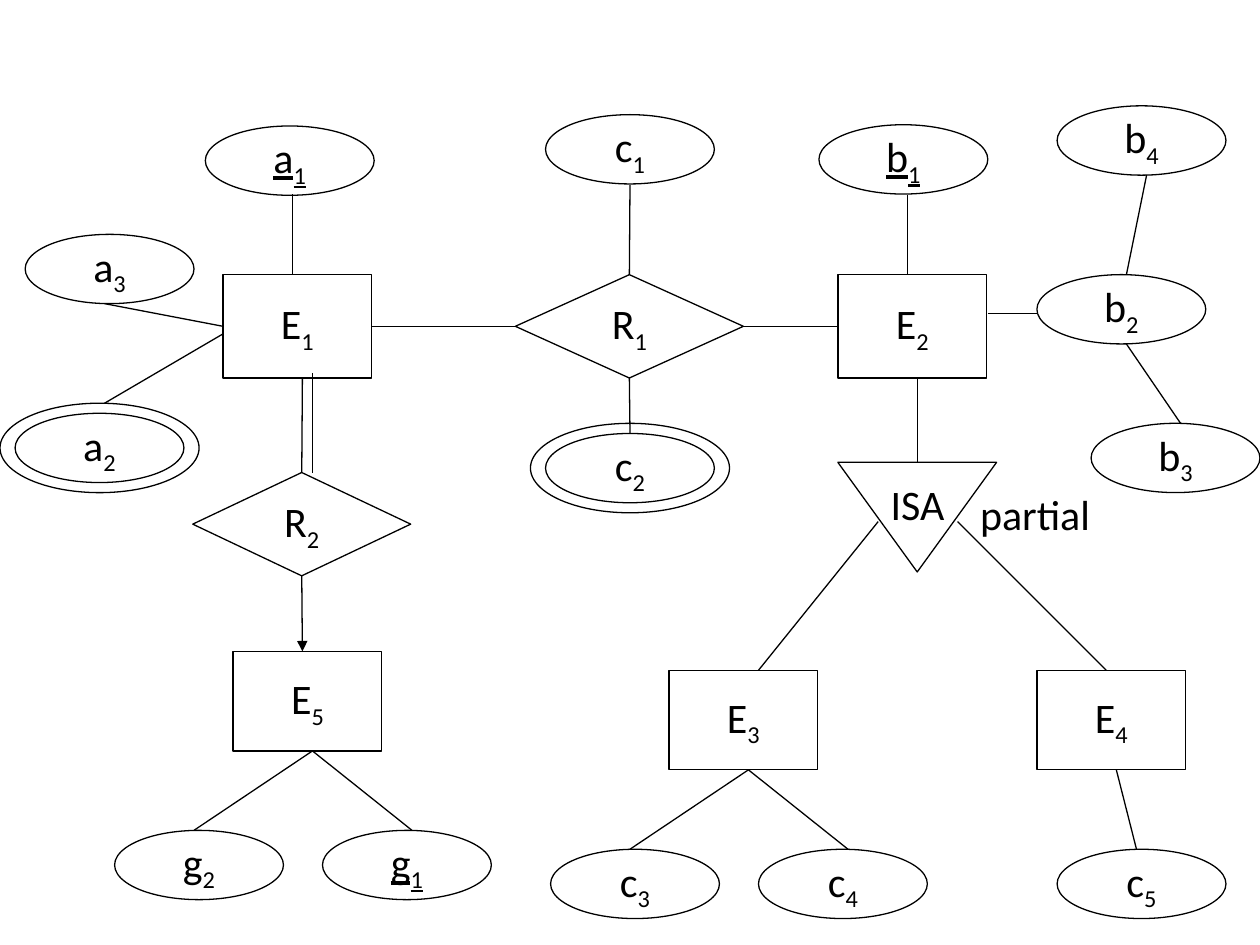
"""Build an entity-relationship diagram with entities, relationships, attributes and an ISA hierarchy."""
from lxml import etree
from pptx import Presentation
from pptx.dml.color import RGBColor
from pptx.enum.shapes import MSO_CONNECTOR, MSO_SHAPE
from pptx.enum.text import MSO_ANCHOR, MSO_AUTO_SIZE, PP_ALIGN
from pptx.oxml.ns import qn
from pptx.util import Inches, Pt

RECTANGLE = MSO_SHAPE.RECTANGLE
DIAMOND = MSO_SHAPE.DIAMOND
ELLIPSE = MSO_SHAPE.OVAL
TRIANGLE = MSO_SHAPE.ISOSCELES_TRIANGLE
STRAIGHT = MSO_CONNECTOR.STRAIGHT
MIDDLE = MSO_ANCHOR.MIDDLE
CENTER = PP_ALIGN.CENTER
FIT_TEXT = MSO_AUTO_SIZE.SHAPE_TO_FIT_TEXT
BLACK = RGBColor(0, 0, 0)
TOP, LEFT, BOTTOM, RIGHT = range(4)

deck = Presentation()
deck.slide_width, deck.slide_height = Inches(10), Inches(7.5)
COLUMN = deck.slide_width / 100
ROW = deck.slide_height / 75
slide = deck.slides.add_slide(deck.slide_layouts[6])


def add_outline(kind, left, top, width, height):
    outline = slide.shapes.add_shape(
        kind, round(left * COLUMN), round(top * ROW), round(width * COLUMN), round(height * ROW))
    outline.shadow.inherit = False
    outline.fill.background()
    outline.line.color.rgb = BLACK
    outline.line.width = Pt(0.75)
    return outline


def add_run(paragraph, text, underline=None, subscript=False):
    run = paragraph.add_run()
    run.text = text
    run.font.name = "Calibri"
    run.font.size = Pt(24)
    run.font.color.rgb = BLACK
    run.font.underline = underline
    if subscript:
        run.font._element.set("baseline", "-25000")


ATTRIBUTE = (13.4, 5.5)
KEYS = ("a1", "b1", "g1")
MULTIVALUED = ("a2", "c2")
parts = [
    (RECTANGLE, (11.8, 8.2), {"E1": (17.7, 21.8), "E2": (66.5, 21.8)}),
    (RECTANGLE, (11.8, 7.9), {"E3": (53.1, 53.2), "E4": (82.3, 53.2), "E5": (18.5, 51.7)}),
    (DIAMOND, (18.1, 8.2), {"R1": (40.9, 21.8)}),
    (DIAMOND, (17.3, 8.2), {"R2": (15.3, 37.5)}),
    (ELLIPSE, ATTRIBUTE, {
        "a1": (16.3, 10), "a2": (1.2, 32.8), "a3": (2, 18.6),
        "b1": (65, 9.9), "b2": (82.3, 21.8), "b3": (86.6, 33.6), "b4": (83.9, 8.4),
        "c1": (43.3, 9.1), "c2": (43.3, 34.4), "c3": (43.7, 67.4),
        "c4": (60.2, 67.4), "c5": (83.9, 67.4),
        "g1": (25.6, 65.9), "g2": (9.1, 65.9)}),
]

nodes = {}
for kind, size, places in parts:
    for name, (left, top) in places.items():
        node = nodes[name] = add_outline(kind, left, top, *size)
        node.text_frame.word_wrap = False
        node.text_frame.vertical_anchor = MIDDLE
        paragraph = node.text_frame.paragraphs[0]
        paragraph.alignment = CENTER
        underline = True if name in KEYS else None
        add_run(paragraph, name[0], underline)
        add_run(paragraph, name[1], underline, subscript=True)
        if name in MULTIVALUED:
            add_outline(ELLIPSE, left - 1.2, top - 0.8, 15.8, 7.1)

hierarchy = add_outline(TRIANGLE, 66.5, 36.7, 12.6, 8.7)
hierarchy._element.spPr.get_or_add_xfrm().set("flipV", "1")

for caption, left, top, width, height in (
        ("ISA", 69.7, 37.5, 6.3, 5.1), ("partial", 76.8, 38.3, 11.2, 5)):
    caption_box = slide.shapes.add_textbox(
        round(left * COLUMN), round(top * ROW), round(width * COLUMN), round(height * ROW))
    caption_box.text_frame.word_wrap = False
    caption_box.text_frame.auto_size = FIT_TEXT
    add_run(caption_box.text_frame.paragraphs[0], caption)

ONE_SIDE_ARROW = ((24, 51.7), ("R2", BOTTOM))
links = [
    (("E1", RIGHT), ("R1", LEFT)),
    (("R1", RIGHT), ("E2", LEFT)),
    ((23.2, 21.8), (23.2, 15.4)),
    (("R1", TOP), (50, 14.7)),
    (("R1", BOTTOM), ("c2", TOP)),
    ((8.3, 24.1), ("E1", LEFT)),
    ((17.7, 26.5), (8.3, 32)),
    ((24, 30), ("R2", TOP)),
    ((24.8, 29.6), (24.8, 37.5)),
    ONE_SIDE_ARROW,
    ((15.4, 65.9), (24.8, 59.6)),
    ((24.8, 59.6), (32.7, 65.9)),
    ((72, 21.8), (72, 15.5)),
    ((78.4, 24.9), (82.3, 24.9)),
    ((89.4, 21.8), (91, 13.9)),
    ((89.4, 27.3), (93.7, 33.6)),
    ((72.8, 30), (72.8, 36.7)),
    ((69.7, 41.4), (60.2, 53.2)),
    ((76, 41.4), (87.8, 53.2)),
    ((50, 67.4), (59.4, 61.1)),
    ((59.4, 61.1), (67.3, 67.4)),
    ((88.6, 61.1), (90.2, 67.4)),
]

for link in links:
    free_ends = [(0, 0) if end[0] in nodes else end for end in link]
    (x1, y1), (x2, y2) = free_ends
    connector = slide.shapes.add_connector(
        STRAIGHT, round(x1 * COLUMN), round(y1 * ROW), round(x2 * COLUMN), round(y2 * ROW))
    for (name, side), join in zip(link, (connector.begin_connect, connector.end_connect)):
        if name in nodes:
            join(nodes[name], side)
    connector.line.color.rgb = BLACK
    connector.line.width = Pt(0.75)
    properties = connector._element.spPr
    if link == ONE_SIDE_ARROW:
        etree.SubElement(properties.find(qn("a:ln")), qn("a:headEnd"), type="triangle")
    etree.SubElement(properties, qn("a:effectLst"))

deck.save("out.pptx")
